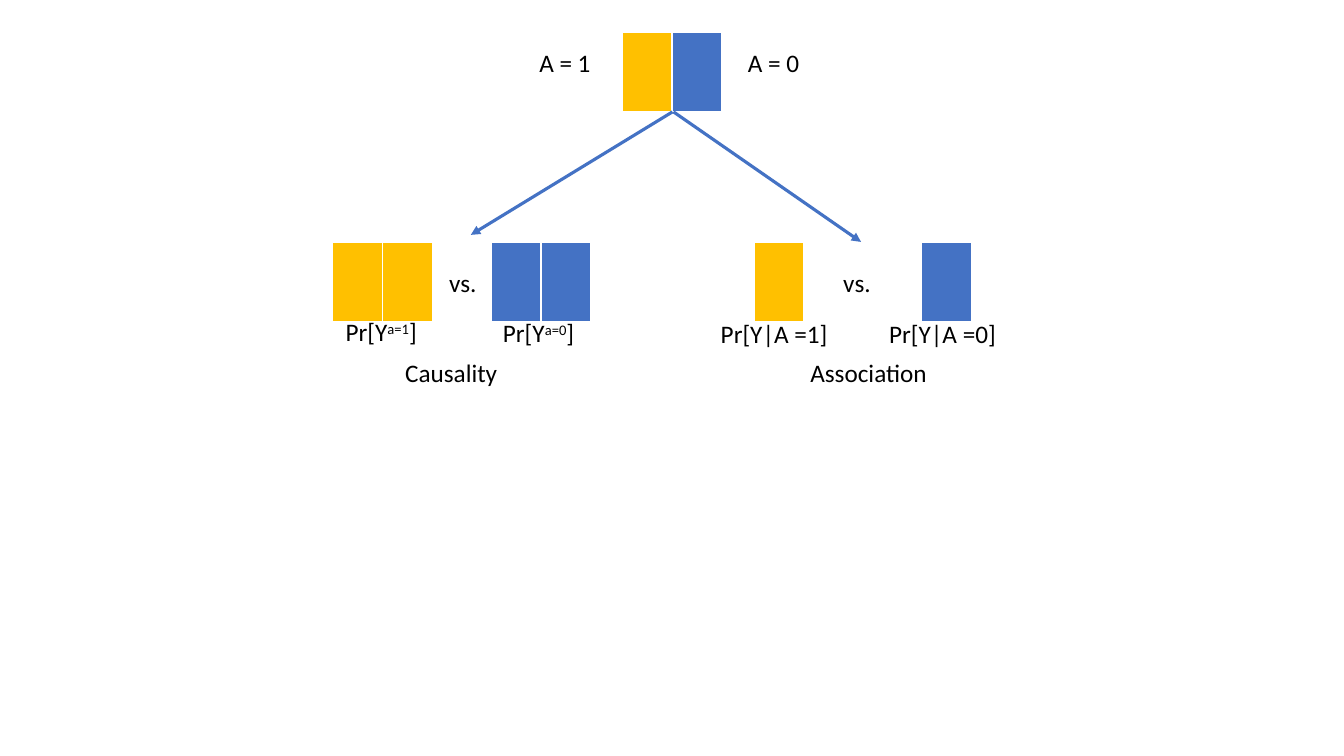
from lxml import etree
from pptx import Presentation
from pptx.dml.color import RGBColor
from pptx.enum import shapes, text
from pptx.oxml.ns import qn
from pptx.util import Inches, Pt

COLORS = {"treated": "FFC000", "untreated": "4472C4", "arrow": "4472C4", "text": "000000"}
LEFT, CENTER, RIGHT = text.PP_ALIGN.LEFT, text.PP_ALIGN.CENTER, text.PP_ALIGN.RIGHT
CELL_W, CELL_H = 0.495, 0.79

prs = Presentation()
prs.slide_width, prs.slide_height = Inches(13.33), Inches(7.5)
s = prs.slides.add_slide(prs.slide_layouts[6])

populations = [
    (6.17, 0.32, ["treated", "untreated"]),
    (3.3, 2.4, ["treated", "treated"]),
    (4.87, 2.4, ["untreated", "untreated"]),
    (7.48, 2.4, ["treated"]),
    (9.14, 2.4, ["untreated"]),
]
for left, top, groups in populations:
    count = len(groups)
    table = s.shapes.add_table(1, count, Inches(left), Inches(top),
                               Inches(CELL_W * count), Inches(CELL_H)).table
    for cell, group in zip(table.rows[0].cells, groups):
        cell.fill.solid()
        cell.fill.fore_color.rgb = RGBColor.from_string(COLORS[group])

labels = [
    (5.25, 0.42, 0.78, LEFT, ["A = 1"]),
    (7.32, 0.42, 0.78, LEFT, ["A = 0"]),
    (4.3, 2.6, 0.58, CENTER, ["vs."]),
    (8.21, 2.6, 0.58, CENTER, ["vs."]),
    (3.92, 3.5, 1.5, LEFT, ["Causality"]),
    (7.79, 3.5, 1.5, RIGHT, ["Association"]),
    (3.33, 3.09, 0.96, LEFT, ["Pr[Y", "a=1", "]"]),
    (4.89, 3.1, 0.96, LEFT, ["Pr[Y", "a=0", "]"]),
    (7.05, 3.11, 1.35, LEFT, ["Pr[Y|A =1]"]),
    (8.72, 3.11, 1.35, LEFT, ["Pr[Y|A =0]"]),
]
for left, top, width, align, parts in labels:
    sp = s.shapes.add_textbox(Inches(left), Inches(top), Inches(width), Inches(0.4))
    tf = sp.text_frame
    tf.word_wrap = True
    p = tf.paragraphs[0]
    p.alignment = align
    for i, part in enumerate(parts):
        r = p.add_run()
        r.text = part
        for name, value in {"size": Pt(18), "name": "Calibri"}.items():
            setattr(r.font, name, value)
        r.font.color.rgb = RGBColor.from_string(COLORS["text"])
        if i == 1:
            r.font._element.set("baseline", "30000")

for x1, x2, y2 in [(6.67, 4.67, 2.33), (6.68, 8.54, 2.4)]:
    arrow = s.shapes.add_connector(shapes.MSO_CONNECTOR.STRAIGHT,
                                   Inches(x1), Inches(1.11), Inches(x2), Inches(y2))
    arrow.line.width = Pt(2.25)
    arrow.line.color.rgb = RGBColor.from_string(COLORS["arrow"])
    etree.SubElement(arrow.line._get_or_add_ln(), qn("a:tailEnd"), type="triangle")
    etree.SubElement(arrow._element.spPr, qn("a:effectLst"))

prs.save("out.pptx")
